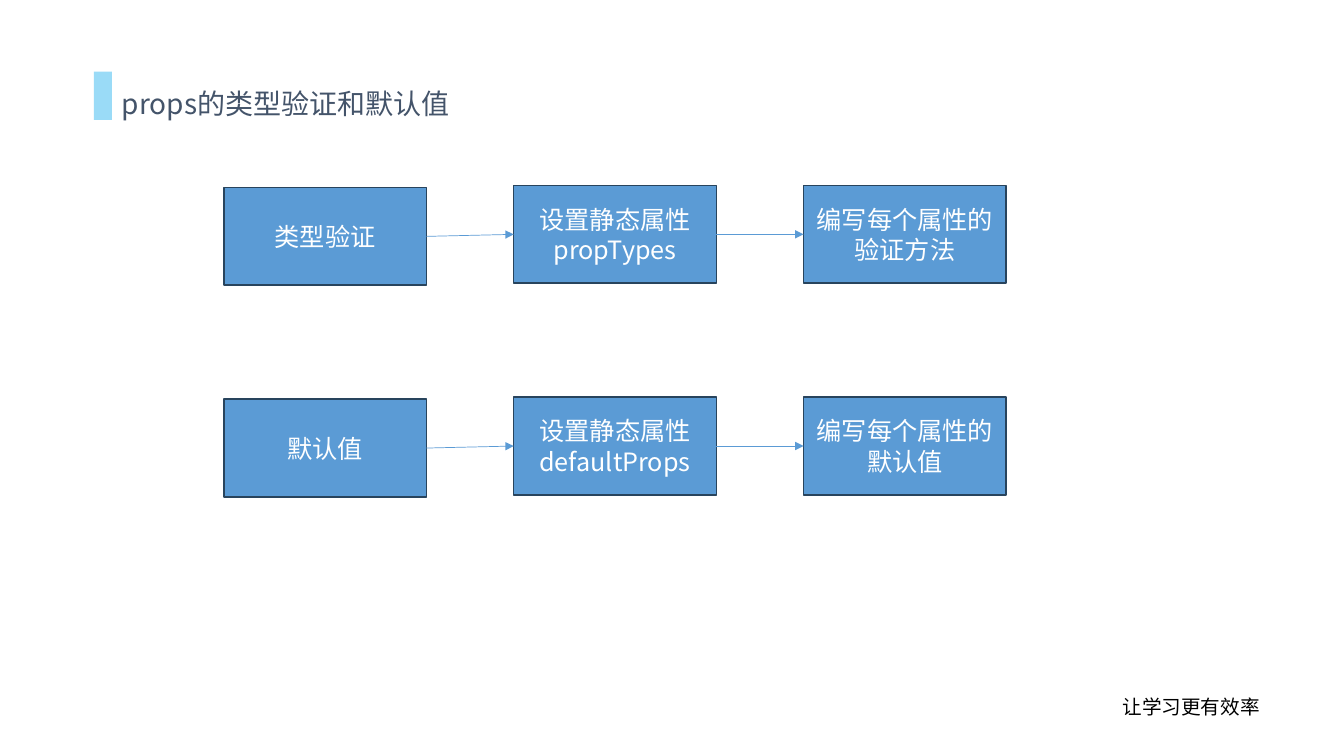
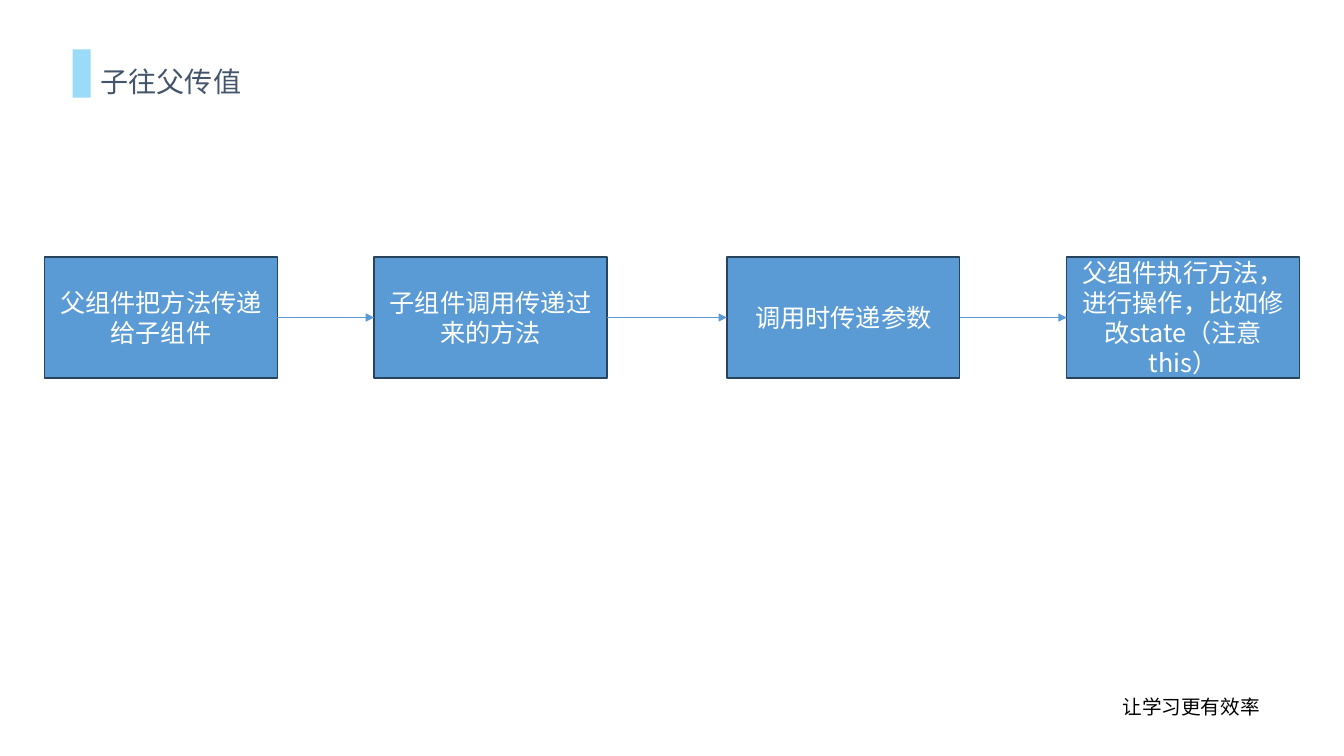
from pptx import Presentation
from pptx.dml.color import RGBColor
from pptx.enum.shapes import MSO_CONNECTOR, MSO_SHAPE
from pptx.enum.text import MSO_ANCHOR, MSO_AUTO_SIZE, PP_ALIGN
from pptx.oxml.ns import qn
from pptx.util import Inches, Pt
from lxml import etree

RECT = MSO_SHAPE.RECTANGLE
LINE = MSO_CONNECTOR.STRAIGHT
LEFT, MID = PP_ALIGN.LEFT, PP_ALIGN.CENTER
CENTER = MSO_ANCHOR.MIDDLE
GROW = MSO_AUTO_SIZE.SHAPE_TO_FIT_TEXT
FONT = "Noto Sans CJK SC"
BLUE, EDGE, SKY = "5B9BD5", "28445D", "9ADBF7"
SLATE, WHITE, BLACK = "44546A", "FFFFFF", "000000"
WIDE, HIGH = 13.33, 7.5


def paint(part, color):
    """Give a fill or font one solid colour."""
    fill = part.fill if hasattr(part, "fill") else part
    fill.solid()
    fill.fore_color.rgb = RGBColor.from_string(color)


def write(frame, text, size, color, align):
    """Set text with one font in every paragraph."""
    frame.word_wrap = True
    frame.text = text
    for para in frame.paragraphs:
        para.alignment = align
        font = para.font
        font.name, font.size = FONT, Pt(size)
        paint(font, color)
        props = para._p.pPr.find(qn("a:defRPr"))
        etree.SubElement(props, qn("a:ea"), typeface=FONT)


def label(slide, box, text, size, color, align):
    """Add a text box and return its frame."""
    frame = slide.shapes.add_textbox(*map(Inches, box)).text_frame
    write(frame, text, size, color, align)
    frame.auto_size = GROW
    return frame


def block(slide, box, color):
    """Add a plain filled rectangle."""
    shape = slide.shapes.add_shape(RECT, *map(Inches, box))
    shape.shadow.inherit = False
    paint(shape, color)
    shape.line.fill.background()
    return shape


def step(slide, box, text):
    """Add one outlined step of a flow."""
    shape = block(slide, box, BLUE)
    paint(shape.line, EDGE)
    shape.line.width = Pt(1)
    shape.text_frame.vertical_anchor = CENTER
    write(shape.text_frame, text, 18, WHITE, MID)
    return shape


def arrow(slide, start, end):
    """Join the right side of one step to the left of the next."""
    link = slide.shapes.add_connector(LINE, 0, 0, 0, 0)
    link.begin_connect(start, 3)
    link.end_connect(end, 1)
    paint(link.line, BLUE)
    link.line.width = Pt(0.5)
    etree.SubElement(link.line._get_or_add_ln(), qn("a:tailEnd"), type="triangle")
    etree.SubElement(link._element.spPr, qn("a:effectLst"))


def flow(slide, lefts, top, size, texts, drop=0):
    """Draw a row of steps with arrows; drop lowers the first."""
    steps = [step(slide, (left, top + (0 if i else drop), *size), text)
             for i, (left, text) in enumerate(zip(lefts, texts))]
    for start, end in zip(steps, steps[1:]):
        arrow(slide, start, end)


def page(deck, title, left, top):
    """Add a slide with its footer, title and title bar."""
    slide = deck.slides.add_slide(deck.slide_layouts[6])
    label(slide, (9.76, 6.84, 4.11, 0.34), "让学习更有效率", 14, BLACK, MID)
    frame = label(slide, (left, top, 9.85, 0.55), title, 20, SLATE, LEFT)
    frame.margin_left = Inches(0.28)
    frame.paragraphs[0].line_spacing = 1.5
    block(slide, (left, top + 0.07, 0.18, 0.48), SKY)
    return slide


def checks(deck):
    """Build the slide on prop types and defaults."""
    slide = page(deck, "props的类型验证和默认值", 0.93, 0.64)
    lefts = [2.22 + 5.75 / 2 * col for col in range(3)]
    rows = (("类型验证", "propTypes", "验证方法"),
            ("默认值", "defaultProps", "默认值"))
    for row, (name, prop, goal) in enumerate(rows):
        texts = (name, f"设置静态属性\n{prop}", f"编写每个属性的{goal}")
        flow(slide, lefts, 1.84 + 2.1 * row, (2.01, 0.97), texts, 0.02)


def passing(deck):
    """Build the slide on passing values to the parent."""
    slide = page(deck, "子往父传值", 0.72, 0.42)
    texts = ("父组件把方法传递给子组件", "子组件调用传递过来的方法",
             "调用时传递参数", "父组件执行方法，进行操作，比如修改state（注意this）")
    flow(slide, (0.44, 3.71, 7.21, 10.58), 2.55, (2.31, 1.2), texts)


def main():
    """Build and save the deck."""
    deck = Presentation()
    deck.slide_width, deck.slide_height = Inches(WIDE), Inches(HIGH)
    checks(deck)
    passing(deck)
    deck.save("out.pptx")


if __name__ == "__main__":
    main()
